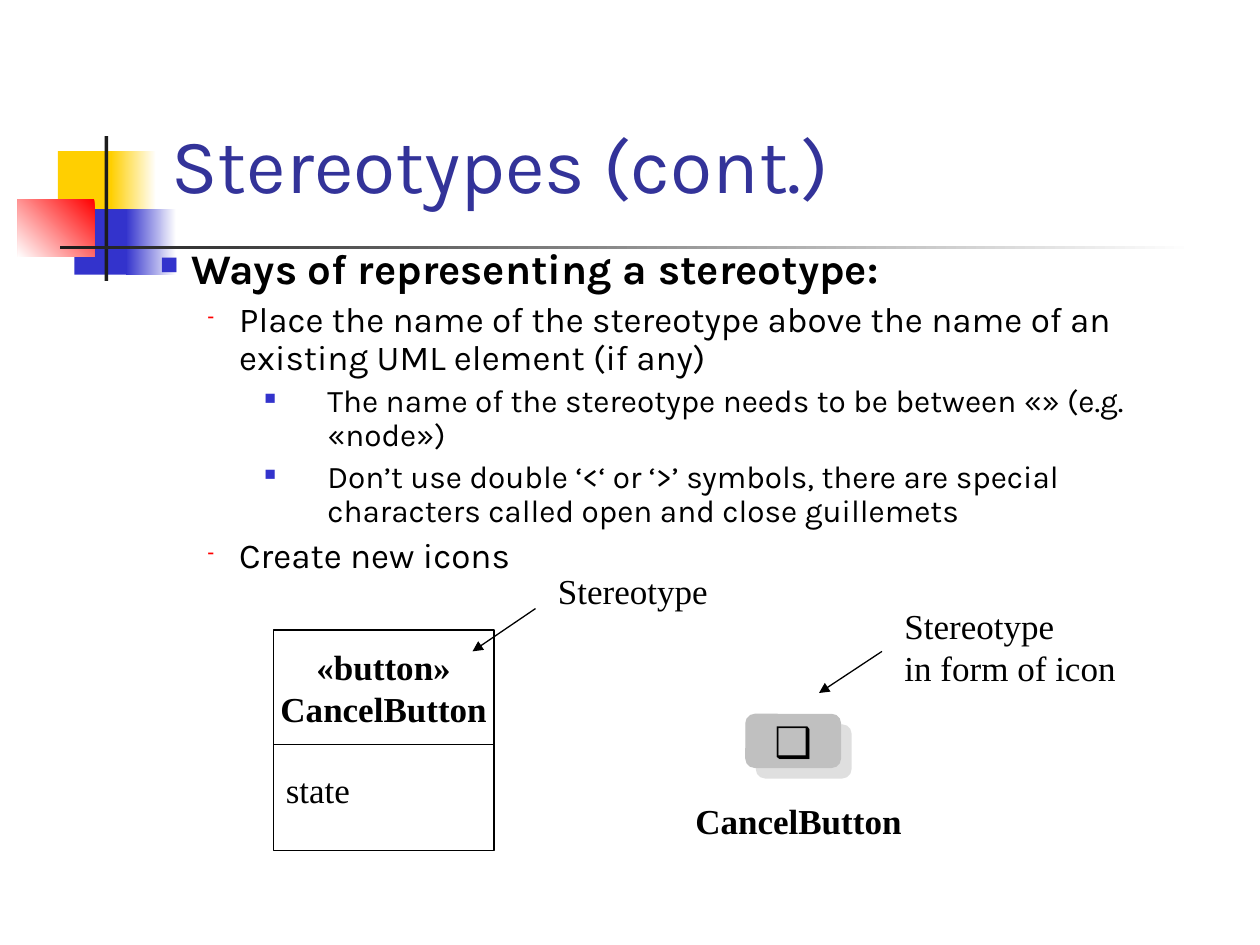
from lxml import etree
from pptx import Presentation
from pptx.dml.color import RGBColor
from pptx.enum.shapes import MSO_CONNECTOR, MSO_SHAPE
from pptx.enum.text import MSO_ANCHOR, MSO_AUTO_SIZE, PP_ALIGN
from pptx.oxml.ns import qn
from pptx.util import Inches, Pt

RECT = MSO_SHAPE.RECTANGLE
ICON = MSO_SHAPE.FLOWCHART_ALTERNATE_PROCESS
LINE = MSO_CONNECTOR.STRAIGHT
MIDDLE = MSO_ANCHOR.MIDDLE
TOP = MSO_ANCHOR.TOP
LEFT = PP_ALIGN.LEFT
CENTER = PP_ALIGN.CENTER
FIT = MSO_AUTO_SIZE.SHAPE_TO_FIT_TEXT
FIXED = MSO_AUTO_SIZE.NONE

SANS, SERIF, SYMBOL = "Karla", "Times New Roman", "Arial"
COLORS = {
    "yellow": "FFCF01", "blue": "3333CC", "red": "FF0000",
    "dark": "1C1C1C", "white": "FFFFFF", "black": "000000",
    "title": "333399", "gray": "C0C0C0",
}

# Per outline level: left margin, hanging indent, space before, size,
# bullet, bullet colour, bullet size in percent
LEVELS = [
    (0.25, 0.25, 6, 24, "■", "blue", 60),
    (0.63, 0.25, 5, 20, "-", "red", 55),
    (1.33, 0.5, 4.5, 18, "■", "blue", 50),
]
OUTLINE = [
    (0, "Ways of representing a stereotype:"),
    (1, "Place the name of the stereotype above the name of an existing "
        "UML element (if any)"),
    (2, "The name of the stereotype needs to be between «» (e.g. «node»)"),
    (2, "Don’t use double ‘<‘ or ‘>’ symbols, there are special characters "
        "called open and close guillemets"),
    (1, "Create new icons"),
]


def rgb(name):
    return RGBColor.from_string(COLORS[name])


def node(parent, tag, **attrs):
    """Append a DrawingML element to parent."""
    return etree.SubElement(parent, qn(tag), attrs)


class Painter:
    def __init__(self, slide):
        self.slide = slide
        self.host = slide.shapes

    def group(self):
        """Send the elements that follow into a new group."""
        self.host = self.slide.shapes.add_group_shape().shapes

    def ungroup(self):
        self.host = self.slide.shapes

    def font(self, para, size, face=SERIF, color="black", bold=False):
        font = para.font
        font.size, font.name, font.bold = Pt(size), face, bold
        font.color.rgb = rgb(color)

    def text(self, shape, lines, size=20, align=LEFT, **style):
        frame = shape.text_frame
        frame.text = "\n".join(lines)
        for para in frame.paragraphs:
            para.alignment = align
            self.font(para, size, **style)
        return frame

    def title(self, words, *box):
        shape = self.slide.shapes.title
        shape.left, shape.top, shape.width, shape.height = map(Inches, box)
        frame = self.text(shape, [words], 44, face=SANS, color="title")
        frame.vertical_anchor, frame.auto_size = MIDDLE, FIXED

    def block(self, *box, fill, line=None, kind=RECT):
        shape = self.host.add_shape(kind, *map(Inches, box))
        shape.shadow.inherit = False
        shape.fill.solid()
        shape.fill.fore_color.rgb = rgb(fill)
        if line:
            shape.line.color.rgb = rgb(line)
            shape.line.width = Pt(0.75)
        else:
            shape.line.fill.background()
        return shape

    def fade(self, *box, start, end, angle=180):
        """Draw a borderless block with a two-colour gradient."""
        fill = self.block(*box, fill=end).fill
        fill.gradient()
        fill.gradient_angle = angle
        for stop, color in zip(fill.gradient_stops, (start, end)):
            stop.color.rgb = rgb(color)

    def caption(self, shape, lines, size=20, **style):
        """Centre bold text in a block."""
        frame = self.text(shape, lines, size, CENTER, bold=True, **style)
        frame.vertical_anchor, frame.word_wrap = MIDDLE, False

    def label(self, lines, *box, bold=False):
        shape = self.host.add_textbox(*map(Inches, box))
        frame = self.text(shape, lines, bold=bold)
        frame.word_wrap, frame.auto_size = False, FIT

    def arrow(self, *ends):
        link = self.host.add_connector(LINE, *map(Inches, ends))
        link.line.color.rgb = rgb("black")
        link.line.width = Pt(0.75)
        props = link.element.spPr
        node(props.find(qn("a:ln")), "a:tailEnd", type="triangle")
        node(props, "a:effectLst")

    def shadow(self, shape, color, dist):
        effects = shape.element.spPr.find(qn("a:effectLst"))
        cast = node(effects, "a:outerShdw", dist=str(Pt(dist)),
                    dir="2700000", algn="ctr", rotWithShape="0")
        tint = node(cast, "a:srgbClr", val=COLORS[color])
        node(tint, "a:alpha", val="50000")

    def outline(self, items, *box):
        frame = self.host.add_textbox(*map(Inches, box)).text_frame
        frame.word_wrap, frame.vertical_anchor = True, TOP
        frame.text = "\n".join(words for _, words in items)
        for para, (level, _) in zip(frame.paragraphs, items):
            margin, hang, space, size, mark, color, scale = LEVELS[level]
            para.level = level
            para.line_spacing, para.space_before = 0.9, Pt(space)
            props = para._p.get_or_add_pPr()
            props.set("marL", str(Inches(margin)))
            props.set("indent", str(-Inches(hang)))
            node(node(props, "a:buClr"), "a:srgbClr", val=COLORS[color])
            node(props, "a:buSzPct", val=str(scale * 1000))
            node(props, "a:buChar", char=mark)
            self.font(para, size, SANS, bold=level == 0)


def main():
    deck = Presentation()
    deck.slide_width, deck.slide_height = Inches(10), Inches(7.5)
    pen = Painter(deck.slides.add_slide(deck.slide_layouts[5]))

    # Corner ornament and rule under the title
    pen.block(0.46, 1.2, 0.48, 0.52, fill="yellow")
    pen.fade(0.88, 1.2, 0.36, 0.52, start="white", end="yellow")
    pen.block(0.59, 1.66, 0.46, 0.52, fill="blue")
    pen.fade(1, 1.66, 0.4, 0.52, start="white", end="blue")
    pen.fade(0.14, 1.58, 0.61, 0.46, start="red", end="white", angle=225)
    pen.block(0.83, 1.08, 0.03, 1.15, fill="dark")
    pen.fade(0.48, 1.95, 9, 0.03, start="white", end="dark")

    pen.title("Stereotypes (cont.)", 1.26, 0.67, 8.52, 1.25)

    # Class box with a named stereotype
    pen.group()
    head = pen.block(2.17, 5, 1.75, 0.91, fill="white", line="black")
    pen.caption(head, ["«button»", "CancelButton"])
    pen.block(2.17, 5.91, 1.75, 0.84, fill="white", line="black")
    pen.arrow(4.25, 4.83, 3.75, 5.17)
    pen.label(["Stereotype"], 4.33, 4.47, 1.39, 0.44)
    pen.label(["state"], 2.17, 6.05, 0.71, 0.44)

    pen.ungroup()
    pen.outline(OUTLINE, 1.17, 1.92, 8.58, 2.92)

    # The same class drawn as an icon
    pen.group()
    icon = pen.block(5.92, 5.67, 0.75, 0.42, fill="gray", line="gray",
                     kind=ICON)
    pen.shadow(icon, "gray", 8.5)
    pen.caption(icon, ["❑"], 24, face=SYMBOL)
    pen.label(["CancelButton"], 5.42, 6.3, 1.84, 0.44, bold=True)
    pen.label(["Stereotype", "in form of icon"], 7.08, 4.75, 1.88, 0.77)
    pen.arrow(7, 5.17, 6.5, 5.5)

    deck.save("out.pptx")


if __name__ == "__main__":
    main()
